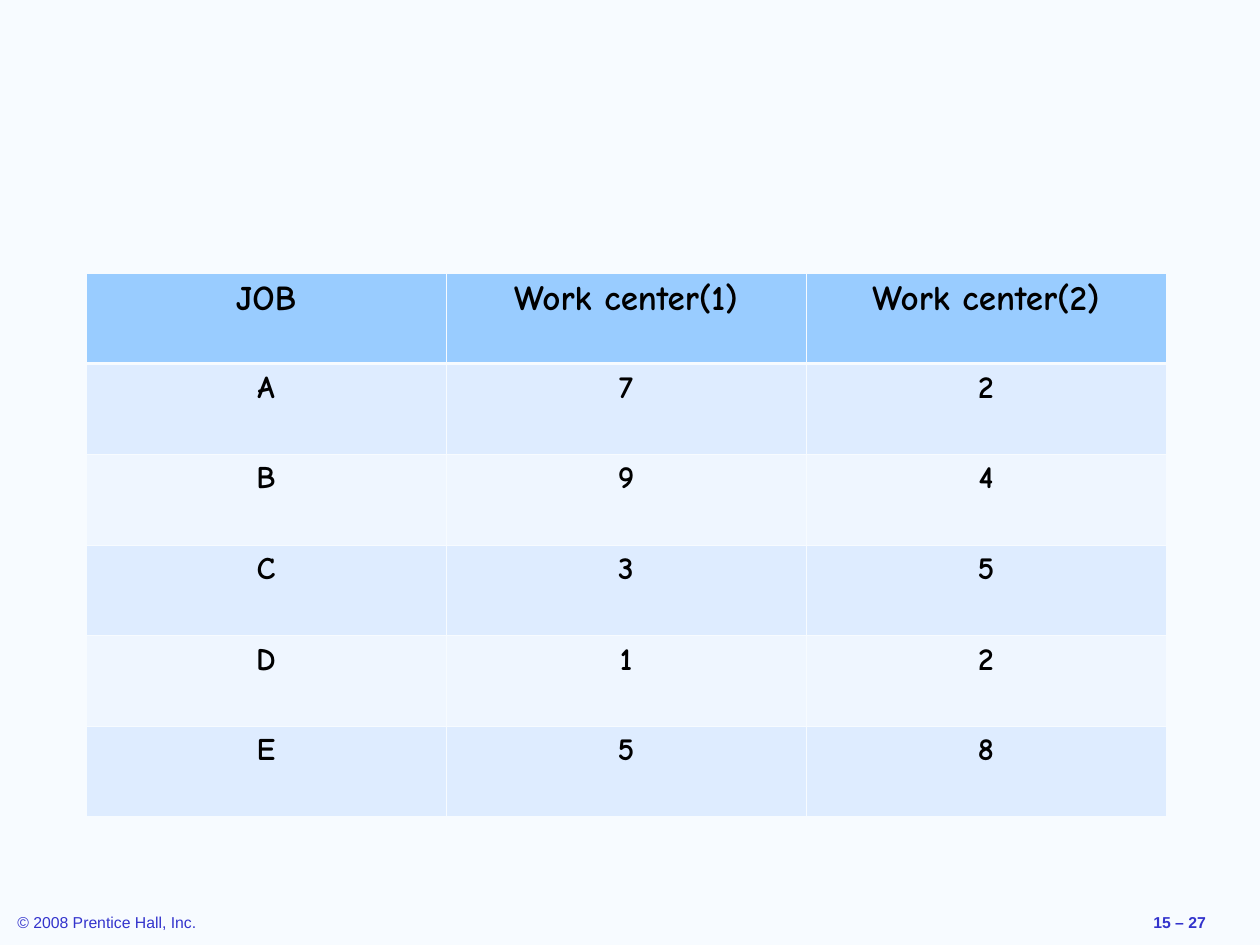
from dataclasses import dataclass

from lxml import etree
from pptx import Presentation
from pptx.dml.color import RGBColor
from pptx.enum.text import MSO_AUTO_SIZE, PP_ALIGN
from pptx.oxml.ns import qn
from pptx.util import Emu, Pt

EMU_PER_PX = 914400 / 126
CENTER = PP_ALIGN.CENTER
FIT_SHAPE = MSO_AUTO_SIZE.SHAPE_TO_FIT_TEXT

PAGE_COLOR = RGBColor(0xF7, 0xFB, 0xFF)
HEADER_FILL = RGBColor(0x99, 0xCC, 0xFF)
ODD_FILL = RGBColor(0xDE, 0xEC, 0xFF)
EVEN_FILL = RGBColor(0xEF, 0xF6, 0xFF)
BLACK = RGBColor(0, 0, 0)
FOOTER_BLUE = RGBColor(0x33, 0x33, 0xCC)

THIN_LINE = Pt(0.45)
HEADER_LINE = Pt(1.47)

JOB_TIMES = [
    ("JOB", "Work center(1)", "Work center(2)"),
    ("A", "7", "2"),
    ("B", "9", "4"),
    ("C", "3", "5"),
    ("D", "1", "2"),
    ("E", "5", "8"),
]


@dataclass
class Footer:
    text: str
    left: int
    width: int
    bold: bool


FOOTERS = [
    Footer("© 2008 Prentice Hall, Inc.", 5, 204, False),
    Footer("15 – 27", 1141, 136, True),
]


def px(length: int) -> Emu:
    return Emu(round(length * EMU_PER_PX))


def format_runs(para, font_name: str, size: int, color: RGBColor, bold: bool) -> None:
    for span in para.runs:
        span.font.name = font_name
        span.font.size = Pt(size)
        span.font.bold = bold
        span.font.color.rgb = color


def add_footer(page, footer: Footer) -> None:
    box = page.shapes.add_textbox(px(footer.left), px(907), px(footer.width), px(32))
    frame = box.text_frame
    frame.word_wrap = False
    frame.auto_size = FIT_SHAPE
    frame.text = footer.text
    format_runs(frame.paragraphs[0], "Arial", 9, FOOTER_BLUE, footer.bold)


def set_borders(cell, top: Emu, bottom: Emu) -> None:
    properties = cell._tc.get_or_add_tcPr()
    widths = {"a:lnL": THIN_LINE, "a:lnR": THIN_LINE, "a:lnT": top, "a:lnB": bottom}
    for tag, width in widths.items():
        line = etree.SubElement(properties, qn(tag), w=str(int(width)))
        fill = etree.SubElement(line, qn("a:solidFill"))
        etree.SubElement(fill, qn("a:srgbClr"), val=str(PAGE_COLOR))


def fill_cell(cell, text: str, row: int) -> None:
    is_header = row == 0
    set_borders(
        cell,
        top=HEADER_LINE if row == 1 else THIN_LINE,
        bottom=HEADER_LINE if is_header else THIN_LINE,
    )
    cell.fill.solid()
    band = ODD_FILL if row % 2 else EVEN_FILL
    cell.fill.fore_color.rgb = HEADER_FILL if is_header else band
    cell.text_frame.text = text
    para = cell.text_frame.paragraphs[0]
    para.alignment = CENTER
    format_runs(para, "Comic Neue", 20 if is_header else 18, BLACK, True)


def add_job_table(page) -> None:
    frame = page.shapes.add_table(
        len(JOB_TIMES), len(JOB_TIMES[0]), px(86), px(273), px(1080), px(544)
    )
    for row, values in enumerate(JOB_TIMES):
        for column, text in enumerate(values):
            fill_cell(frame.table.cell(row, column), text, row)


def main() -> None:
    deck = Presentation()
    deck.slide_width, deck.slide_height = px(1260), px(945)
    page = deck.slides.add_slide(deck.slide_layouts[6])
    page.background.fill.solid()
    page.background.fill.fore_color.rgb = PAGE_COLOR

    # Footer line
    for footer in FOOTERS:
        add_footer(page, footer)

    # Processing times of each job
    add_job_table(page)
    deck.save("out.pptx")


if __name__ == "__main__":
    main()
